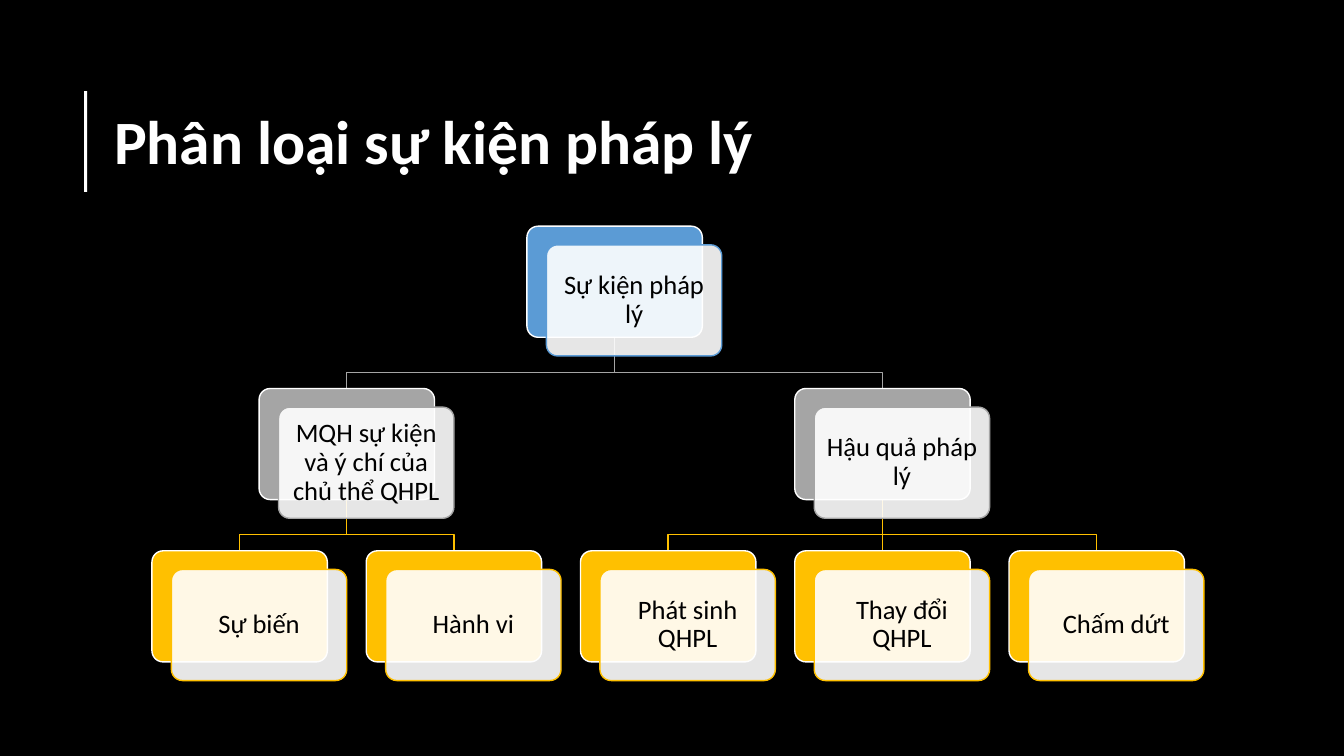
from dataclasses import dataclass

from lxml.etree import SubElement
from pptx import Presentation
from pptx.dml.color import RGBColor
from pptx.enum.shapes import MSO_CONNECTOR as Connector, MSO_SHAPE as Shape
from pptx.enum.text import MSO_ANCHOR as Anchor, PP_ALIGN as Align
from pptx.oxml.ns import qn
from pptx.util import Cm, Pt


@dataclass(frozen=True)
class Theme:
    """Colours, font and type sizes of the slide."""
    background: str = "000000"
    light: str = "FFFFFF"
    ink: str = "000000"
    levels: tuple = ("5B9BD5", "A5A5A5", "FFC000")
    font: str = "Calibri"
    title_size: int = 44
    card_size: int = 19
    line_width: float = 1
    card_opacity: int = 90


@dataclass(frozen=True)
class Branch:
    """A card of the tree, placed by column, with the cards under it."""
    label: str
    column: float
    children: tuple = ()


THEME = Theme()
TREE = Branch("Sự kiện pháp lý", 1.75, (
    Branch("MQH sự kiện và ý chí của chủ thể QHPL", 0.5, (
        Branch("Sự biến", 0),
        Branch("Hành vi", 1),
    )),
    Branch("Hậu quả pháp lý", 3, (
        Branch("Phát sinh QHPL", 2),
        Branch("Thay đổi QHPL", 3),
        Branch("Chấm dứt", 4),
    )),
))
TREE_LEFT, TREE_TOP = Cm(3.83), Cm(5.7)
COLUMN_STEP, LEVEL_STEP = Cm(5.4), Cm(4.09)
CARD_WIDTH, CARD_HEIGHT = Cm(4.42), Cm(2.8)
FRONT_SHIFT_X, FRONT_SHIFT_Y = Cm(0.49), Cm(0.47)
BEND_GAP = Cm(0.41)
CARD_INSET = Cm(0.2)


def color(code):
    """Turn a hex code into a colour."""
    return RGBColor.from_string(code)


def write(frame, text, *, size, ink, bold=False, align=Align.LEFT, inset=None):
    """Put formatted, vertically centred text in a frame."""
    frame.word_wrap = True
    frame.vertical_anchor = Anchor.MIDDLE
    if inset is not None:
        frame.margin_left = frame.margin_right = inset
        frame.margin_top = frame.margin_bottom = inset
    paragraph = frame.paragraphs[0]
    paragraph.alignment = align
    paragraph.line_spacing = 0.9
    run = paragraph.add_run()
    run.text = text
    run.font.name = THEME.font
    run.font.size = Pt(size)
    run.font.bold = bold
    run.font.color.rgb = color(ink)


def outline(item, code):
    """Give a shape or connector a thin line."""
    item.line.color.rgb = color(code)
    item.line.width = Pt(THEME.line_width)


def add_panel(slide, kind, left, top, width, height, fill, border=None):
    """Add a flat filled shape with an optional border."""
    panel = slide.shapes.add_shape(kind, left, top, width, height)
    panel.shadow.inherit = False
    panel.fill.solid()
    panel.fill.fore_color.rgb = color(fill)
    if border:
        outline(panel, border)
    else:
        panel.line.fill.background()
    return panel


def set_opacity(panel, percent):
    """Make the solid fill of a shape partly transparent."""
    fill_color = panel.fill._xPr.find(qn("a:solidFill"))[0]
    SubElement(fill_color, qn("a:alpha")).set("val", str(percent * 1000))


def corner(branch, level):
    """Return the top left corner of a branch's back card."""
    return (int(TREE_LEFT + branch.column * COLUMN_STEP),
            TREE_TOP + level * LEVEL_STEP)


def add_card(slide, branch, level):
    """Add the coloured back card and the labelled front card."""
    accent = THEME.levels[level]
    left, top = corner(branch, level)
    size = CARD_WIDTH, CARD_HEIGHT
    back = add_panel(slide, Shape.ROUNDED_RECTANGLE, left, top, *size,
                     accent, THEME.light)
    front = add_panel(slide, Shape.ROUNDED_RECTANGLE, left + FRONT_SHIFT_X,
                      top + FRONT_SHIFT_Y, *size, THEME.light, accent)
    for card in (back, front):
        card.adjustments[0] = 0.1
    set_opacity(front, THEME.card_opacity)
    write(front.text_frame, branch.label, size=THEME.card_size, ink=THEME.ink,
          align=Align.CENTER, inset=CARD_INSET)


def add_link(slide, parent, child, child_level):
    """Join a parent card to a child card with a straight or bent line."""
    parent_left, parent_top = corner(parent, child_level - 1)
    child_left, end_y = corner(child, child_level)
    start_x, end_x = (x + CARD_WIDTH // 2 for x in (parent_left, child_left))
    start_y = parent_top + CARD_HEIGHT
    bend_y = end_y - BEND_GAP
    if start_x == end_x:
        link = slide.shapes.add_connector(Connector.STRAIGHT, start_x, start_y,
                                          end_x, end_y)
        outline(link, THEME.levels[child_level])
        SubElement(link._element.spPr, qn("a:effectLst"))
        return
    route = slide.shapes.build_freeform(start_x, start_y)
    route.add_line_segments(
        [(start_x, bend_y), (end_x, bend_y), (end_x, end_y)], close=False)
    link = route.convert_to_shape()
    link.shadow.inherit = False
    link.fill.background()
    outline(link, THEME.levels[child_level])


def add_links(slide, branch, level=0):
    """Add all the lines below a branch."""
    for child in branch.children:
        add_link(slide, branch, child, level + 1)
        add_links(slide, child, level + 1)


def add_cards(slide, branch, level=0):
    """Add a branch's cards and all those below it."""
    add_card(slide, branch, level)
    for child in branch.children:
        add_cards(slide, child, level + 1)


def add_heading(slide, text):
    """Place the title and the upright bar beside it."""
    title = slide.shapes.title
    title.left, title.top = Cm(2.62), Cm(1.98)
    title.width, title.height = Cm(28.93), Cm(3.33)
    write(title.text_frame, text, size=THEME.title_size, ink=THEME.light,
          bold=True)
    add_panel(slide, Shape.RECTANGLE, Cm(2.12), Cm(2.3), Cm(0.08), Cm(2.54),
              THEME.light)


def main():
    """Build and save the slide."""
    deck = Presentation()
    deck.slide_width, deck.slide_height = Cm(33.87), Cm(19.05)
    slide = deck.slides.add_slide(deck.slide_layouts.get_by_name("Title Only"))
    slide.background.fill.solid()
    slide.background.fill.fore_color.rgb = color(THEME.background)
    add_heading(slide, "Phân loại sự kiện pháp lý")
    add_links(slide, TREE)
    add_cards(slide, TREE)
    deck.save("out.pptx")


if __name__ == "__main__":
    main()
